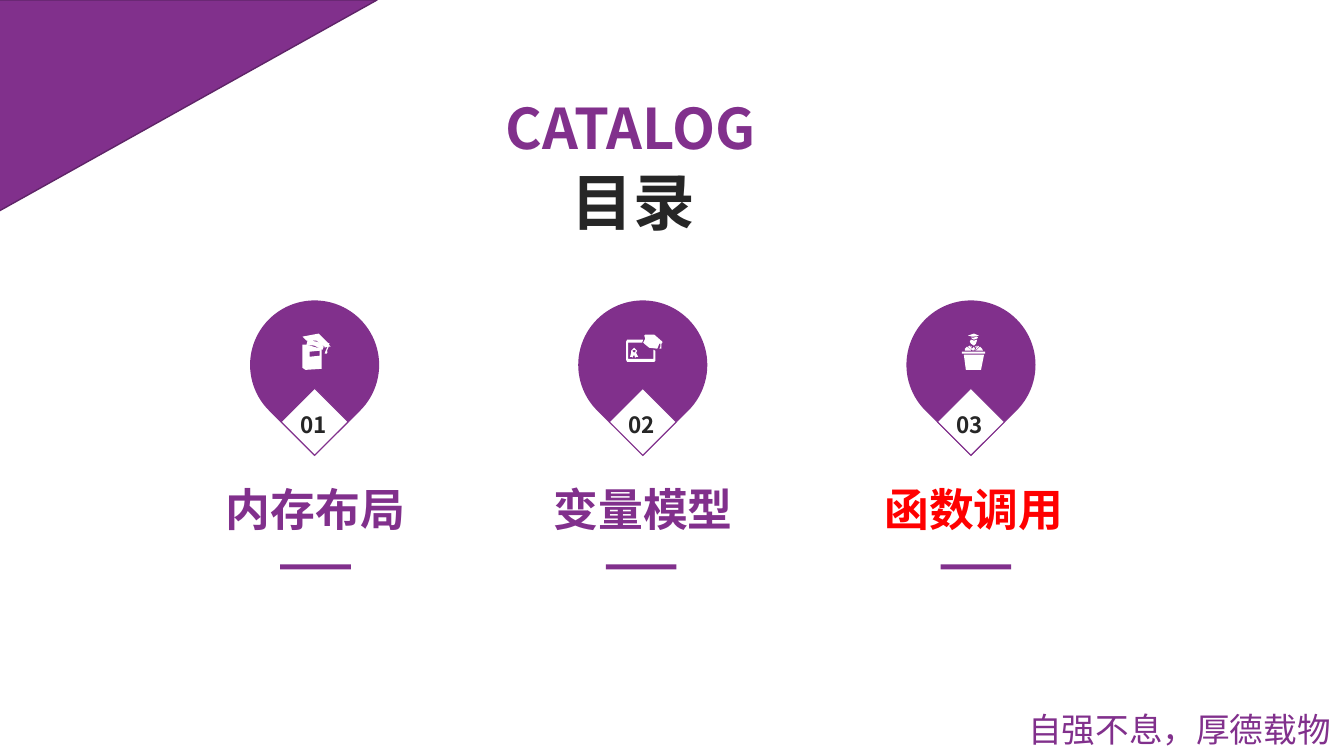
from lxml import etree
from pptx import Presentation
from pptx import util as u
from pptx.dml.color import RGBColor
from pptx.enum import shapes, text
from pptx.oxml import ns

COLORS = {
    "purple": "81308C",
    "edge": "5F2468",
    "dark": "262626",
    "red": "FF0000",
    "white": "FFFFFF",
}
FONT = "Noto Sans CJK SC"

# Icon outlines, in hundredths of an inch from the icon's top left corner
BOOK = [
    [(4, 11), (18, 15), (19, 16), (19, 35), (3, 36), (0, 34), (0, 11)],
    [(17, 17), (7, 18), (7, 23), (17, 22)],
    [(4, 11), (5, 7), (8, 7), (14, 8), (18, 10), (21, 13), (20, 16), (12, 12)],
    [(16, 0), (25, 9), (27, 10), (26, 11), (28, 13), (26, 13), (24, 18), (25, 18),
     (24, 20), (22, 20), (23, 17), (25, 13), (22, 14), (22, 13), (14, 7), (4, 7), (0, 3)],
]
DIPLOMA = [
    [(1, 5), (17, 5), (16, 8), (2, 8), (2, 24), (27, 24), (27, 15), (29, 16),
     (29, 26), (28, 27), (1, 27), (0, 25), (0, 7)],
    [(8, 13), (11, 16), (10, 18), (12, 22), (10, 22), (9, 23), (8, 20), (6, 23),
     (6, 22), (4, 22), (5, 18), (5, 16)],
    [(8, 15), (6, 16), (8, 18), (10, 16)],
    [(19, 0), (28, 0), (36, 7), (36, 8), (35, 9), (35, 14), (33, 14), (34, 12),
     (34, 9), (33, 9), (31, 14), (23, 13), (18, 9), (17, 8), (19, 4), (18, 1)],
]
SPEAKER = [
    [(2, 21), (22, 21), (19, 36), (4, 36)],
    [(0, 18), (23, 18), (23, 20), (0, 20)],
    [(12, 13), (13, 15), (12, 17), (10, 15)],
    [(18, 13), (20, 15), (21, 17), (14, 17)],
    [(5, 13), (9, 16), (9, 17), (3, 17), (3, 15)],
    [(16, 12), (17, 13), (13, 17), (14, 15)],
    [(8, 12), (11, 17), (6, 13)],
    [(15, 12), (14, 14), (13, 13)],
    [(9, 12), (10, 13), (10, 14)],
    [(9, 6), (12, 7), (15, 6), (15, 7), (14, 10), (12, 12), (9, 10), (8, 8)],
    [(9, 4), (12, 4), (15, 3), (16, 4), (15, 5), (12, 6), (10, 5)],
    [(12, 0), (17, 2), (12, 3), (10, 3), (6, 2)],
]

PIN_LEFT, PIN_PITCH = 2.48, 3.255
# title, title colour, title left, bar left, icon, icon left, icon top
CHAPTERS = [
    ("内存布局", "purple", 2.13, 2.78, BOOK, 3.0, 3.31),
    ("变量模型", "purple", 5.38, 6.01, DIPLOMA, 6.21, 3.32),
    ("函数调用", "red", 8.66, 9.33, SPEAKER, 9.54, 3.31),
]


class CatalogSlide:
    def __init__(self, slide):
        self.slide = slide

    def paint(self, shape, fill, line=None, line_width=1):
        shape.shadow.inherit = False
        shape.fill.solid()
        shape.fill.fore_color.rgb = RGBColor.from_string(COLORS[fill])
        if line:
            shape.line.color.rgb = RGBColor.from_string(COLORS[line])
            shape.line.width = u.Pt(line_width)
        else:
            shape.line.fill.background()

    def preset(self, kind, box, fill, rotation=0, line=None, line_width=1, parent=None):
        shape = (parent or self.slide).shapes.add_shape(kind, *map(u.Inches, box))
        shape.rotation = rotation
        self.paint(shape, fill, line, line_width)

    def label(self, words, box, size, color, bold=True, centered=False,
              wrap=False, parent=None):
        frame = (parent or self.slide).shapes.add_textbox(*map(u.Inches, box)).text_frame
        frame.word_wrap = wrap
        frame.auto_size = text.MSO_AUTO_SIZE.SHAPE_TO_FIT_TEXT
        frame.text = words
        paragraph = frame.paragraphs[0]
        if centered:
            paragraph.alignment = text.PP_ALIGN.CENTER
        run = paragraph.runs[0]
        run.font.size = u.Pt(size)
        run.font.bold = bold
        run.font.name = FONT
        run.font.color.rgb = RGBColor.from_string(COLORS[color])
        properties = run.font._element
        etree.SubElement(properties, ns.qn("a:ea")).set("typeface", FONT)

    def icon(self, outlines, left, top, parent):
        builder = parent.shapes.build_freeform(*outlines[0][0], scale=u.Inches(0.01))
        for number, outline in enumerate(outlines):
            if number:
                builder.move_to(*outline[0])
            builder.add_line_segments(outline[1:], close=True)
        shape = builder.convert_to_shape(u.Inches(left), u.Inches(top))
        self.paint(shape, "white")

    def pin(self, number, left, icon, icon_left, icon_top):
        """Group a map pin with its icon and numbered diamond."""
        group = self.slide.shapes.add_group_shape()
        self.preset(shapes.MSO_SHAPE.TEAR, (left, 2.98, 1.28, 1.28), "purple",
                    rotation=135, parent=group)
        self.preset(shapes.MSO_SHAPE.RECTANGLE, (left + 0.405, 3.95, 0.47, 0.47), "white",
                    rotation=45, line="purple", line_width=0.75, parent=group)
        self.icon(icon, icon_left, icon_top, group)
        self.label(f"{number:02}", (left + 0.4, 4.03, 0.48, 0.37), 16, "dark", parent=group)


def main():
    presentation = Presentation()
    presentation.slide_width = u.Inches(13.33)
    presentation.slide_height = u.Inches(7.5)
    catalog = CatalogSlide(presentation.slides.add_slide(presentation.slide_layouts[6]))

    catalog.preset(shapes.MSO_SHAPE.RIGHT_TRIANGLE, (0.81, -0.83, 2.1, 3.76), "purple",
                   rotation=90, line="edge")
    catalog.label("自强不息，厚德载物", (10.1, 6.98, 3.24, 0.5), 24, "purple",
                  bold=False, wrap=True)
    catalog.label("目录", (5.57, 1.58, 1.44, 0.84), 44, "dark")
    catalog.label("CATALOG", (4.92, 0.88, 2.87, 0.77), 40, "purple")

    for index, chapter in enumerate(CHAPTERS):
        title, color, title_left, bar_left, icon, icon_left, icon_top = chapter
        catalog.pin(index + 1, PIN_LEFT + index * PIN_PITCH, icon, icon_left, icon_top)
        catalog.label(title, (title_left, 4.73, 2, 0.64), 32, color, centered=True)
        catalog.preset(shapes.MSO_SHAPE.RECTANGLE, (bar_left, 5.6, 0.7, 0.05), "purple")

    presentation.save("out.pptx")


if __name__ == "__main__":
    main()
